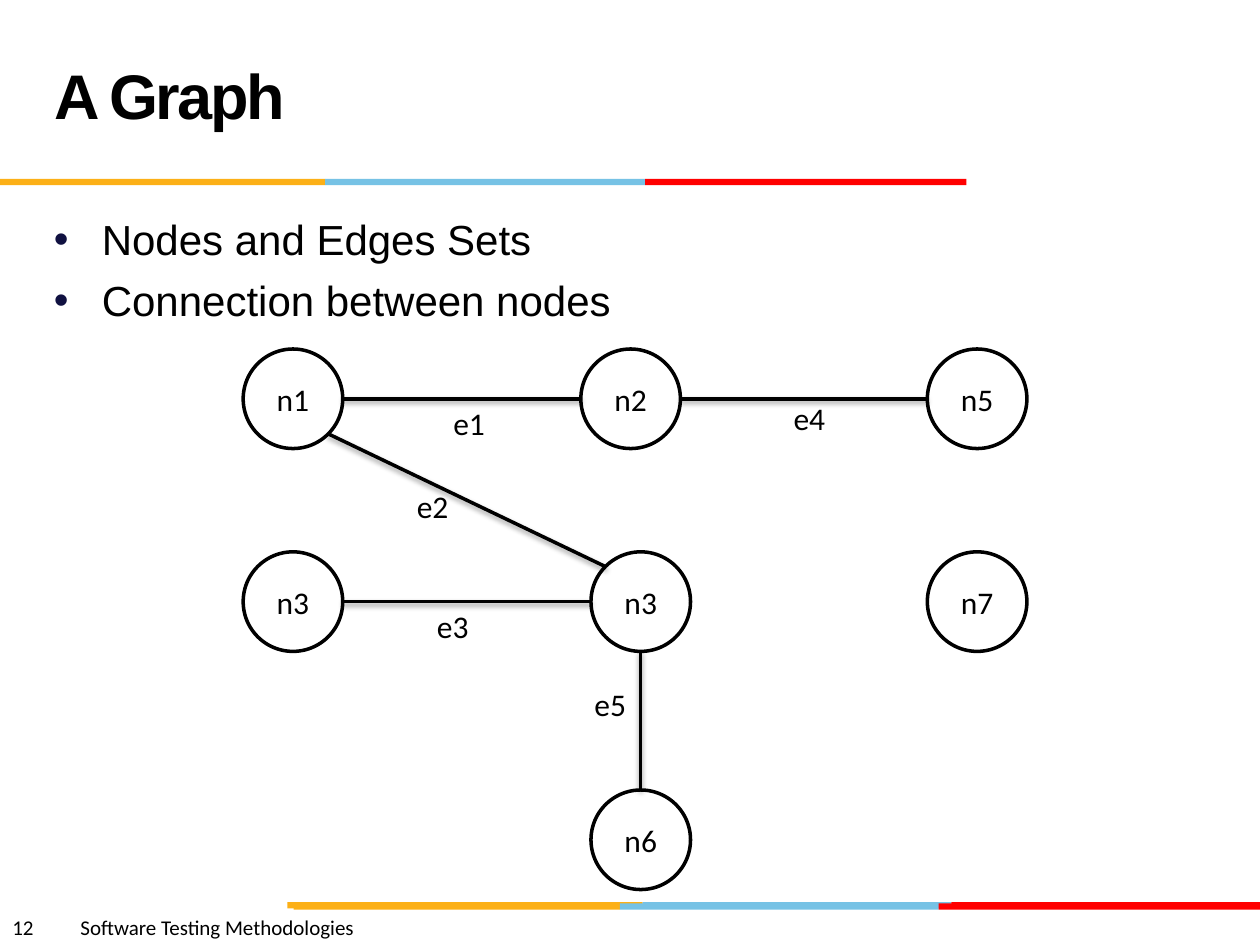
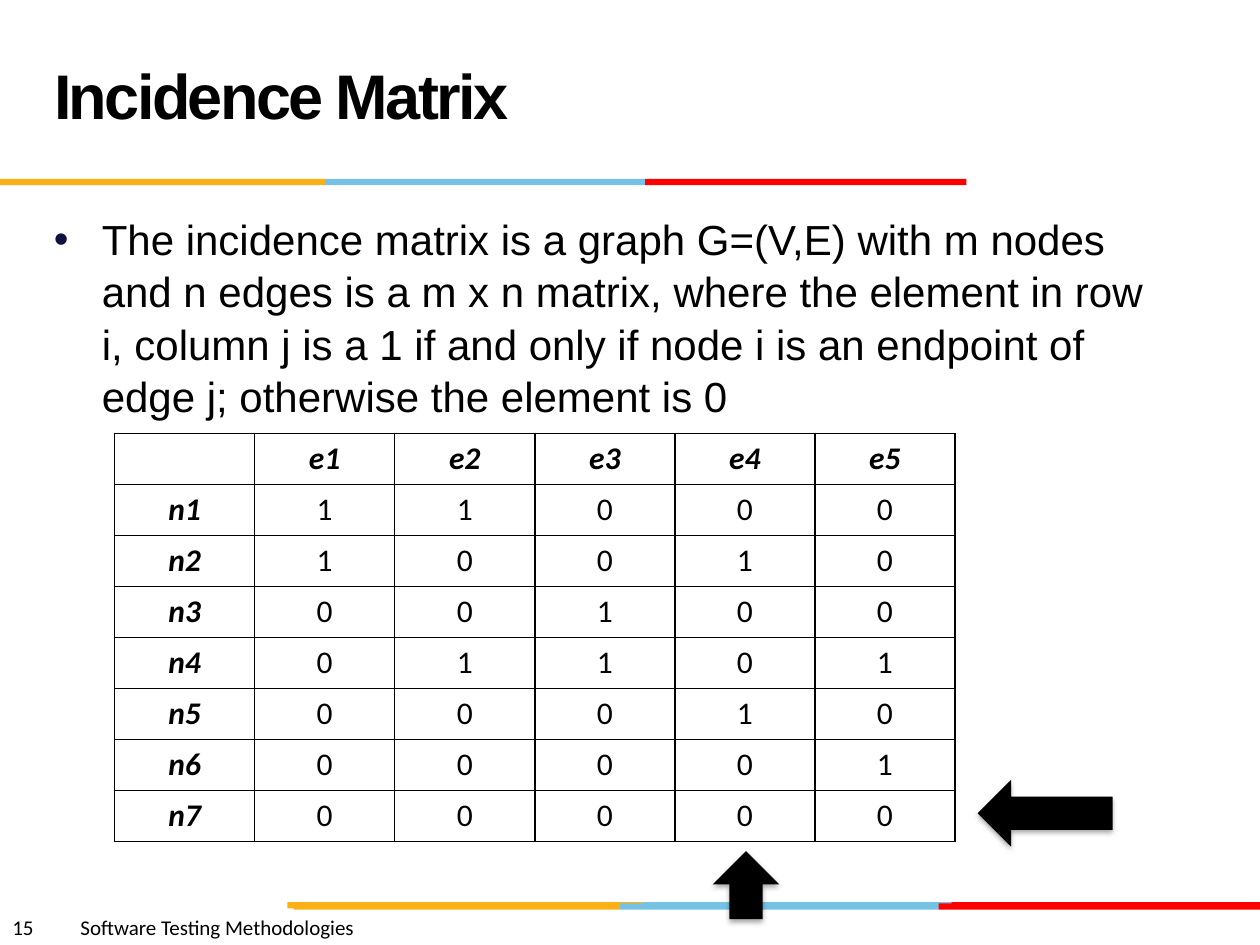
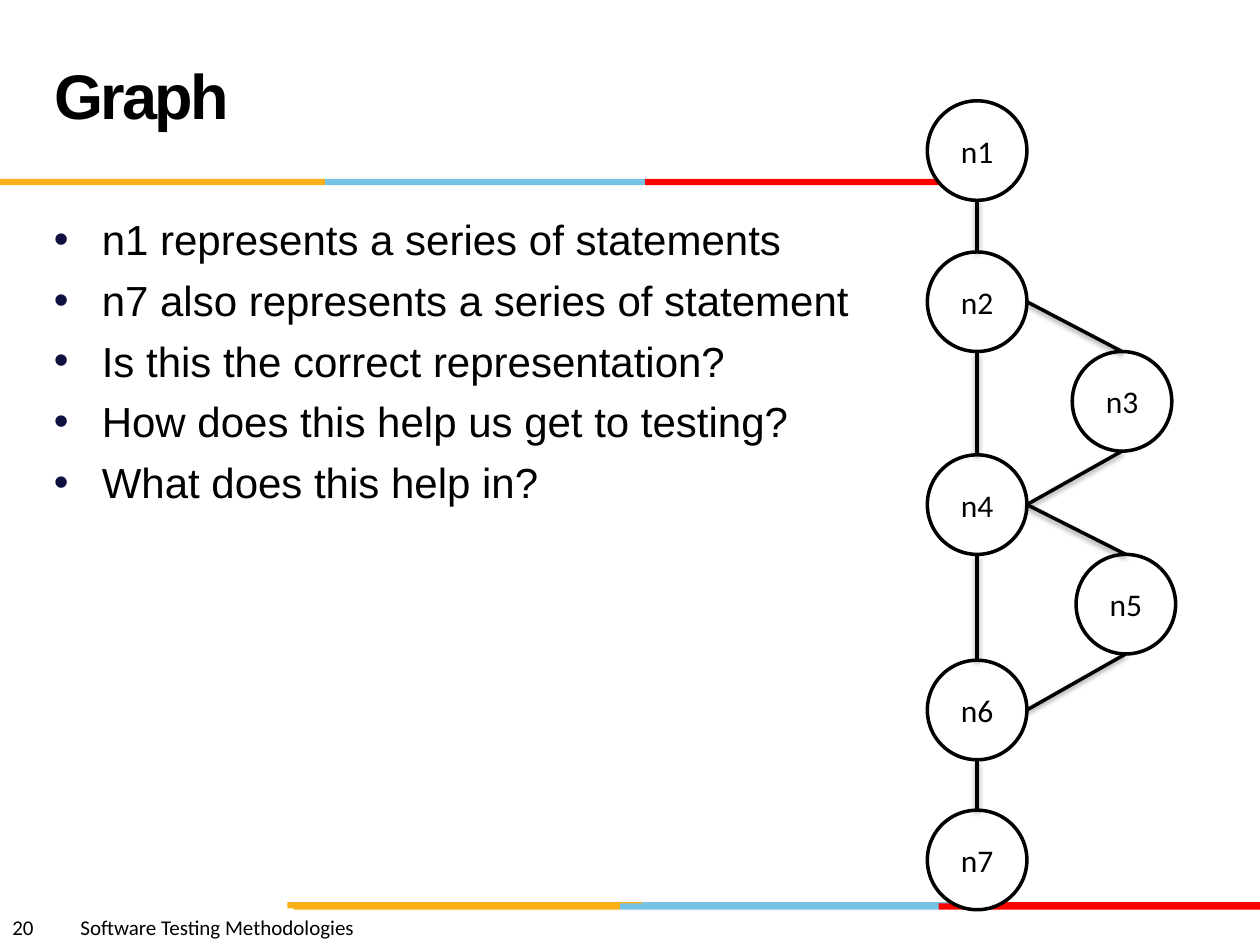
from dataclasses import dataclass
from itertools import pairwise

from lxml.etree import SubElement as Sub
from pptx import Presentation
from pptx.dml.color import RGBColor as RGB
from pptx.enum.shapes import MSO_CONNECTOR as LINK, MSO_SHAPE as KIND
from pptx.enum.text import MSO_ANCHOR as ANCHOR, MSO_AUTO_SIZE as FIT, PP_ALIGN as ALIGN
from pptx.oxml.ns import qn
from pptx.util import Inches, Pt


@dataclass(frozen=True)
class Theme:
    ink: str = "000000"
    paper: str = "FFFFFF"
    dot: str = "101141"
    bands: tuple = ("FCB017", "76C2E5", "FF0000")
    head: str = "Arial"
    body: str = "Calibri"
    big: int = 36
    mid: int = 24
    small: int = 18
    tiny: int = 12
    stroke: int = 2


# Band rows: top, then the edges of the three colours
BANDS = (
    (71.6, (22.8, 51, 75.5, 100)),
    (71.7, (23.3, 49.2, 74.5, 100)),
    (14.2, (0, 25.8, 51.2, 76.7)),
)
FOOT = "Software Testing Methodologies"

# Points on a node's outline, as shares of its size
SITES = {"t": (.5, 0), "l": (0, .5), "b": (.5, 1), "r": (1, .5),
         "tl": (.15, .15), "br": (.85, .85)}
NODE = 7.9


class Deck:
    """Slides on a grid of 100 columns by 75 rows."""

    def __init__(self, theme):
        self.theme = theme
        self.prs = Presentation()
        self.prs.slide_width, self.prs.slide_height = Inches(10), Inches(7.5)
        self.unit = self.prs.slide_width / 100
        self.slide = None

    def grid(self, *cells):
        return [round(c * self.unit) for c in cells]

    def style(self, para, size, face=None, bold=False, slant=False):
        for run in para.runs:
            font = run.font
            font.name, font.size = face or self.theme.body, Pt(size)
            font.bold, font.italic = bold, slant
            font.color.rgb = RGB.from_string(self.theme.ink)

    # Slide frame: bands, footer and title
    def page(self, num, title):
        self.slide = self.prs.slides.add_slide(self.prs.slide_layouts[5])
        for top, edges in BANDS:
            for hue, (left, right) in zip(self.theme.bands, pairwise(edges)):
                self.shape(KIND.RECTANGLE, (left, top, right - left, .5), hue)
        foot = self.text(f"{num}\t{FOOT}", (0, 72.1, 50, 3), self.theme.tiny)
        tabs = Sub(foot.element.get_or_add_pPr() if hasattr(foot, "element")
                   else foot._p.get_or_add_pPr(), qn("a:tabLst"))
        Sub(tabs, qn("a:tab"), pos=str(Inches(.54)), algn="l")
        self.title(title)

    def title(self, words):
        box = self.slide.shapes.title
        box.left, box.top, box.width, box.height = self.grid(3.3, 1.7, 69.2, 12.5)
        frame = box.text_frame
        frame.text = words
        frame.auto_size, frame.vertical_anchor = FIT.NONE, ANCHOR.MIDDLE
        para = frame.paragraphs[0]
        para.alignment, para.line_spacing = ALIGN.LEFT, Pt(self.theme.big)
        self.style(para, self.theme.big, self.theme.head, bold=True)
        for prop in box.element.iter(qn("a:rPr")):
            prop.set("spc", "-150")

    # Text
    def text(self, words, area, size, wrap=True):
        box = self.slide.shapes.add_textbox(*self.grid(*area))
        frame = box.text_frame
        frame.text, frame.word_wrap = words, wrap
        self.style(frame.paragraphs[0], size)
        return frame.paragraphs[0]

    def points(self, *lines):
        box = self.slide.shapes.add_textbox(*self.grid(3.3, 16.3, 90, 49.5))
        frame = box.text_frame
        frame.text, frame.word_wrap = "\n".join(lines), True
        for i, para in enumerate(frame.paragraphs):
            prop = para._p.get_or_add_pPr()
            prop.set("marL", str(Inches(.38)))
            prop.set("indent", str(-Inches(.38)))
            Sub(Sub(prop, qn("a:buClr")), qn("a:srgbClr"), val=self.theme.dot)
            Sub(prop, qn("a:buFont"), typeface=self.theme.head)
            Sub(prop, qn("a:buChar"), char="•")
            para.line_spacing = 1.04
            para.space_before = Pt(self.theme.mid * .2 if i else 0)
            self.style(para, self.theme.mid, self.theme.head)

    # Shapes
    def shape(self, kind, area, hue):
        item = self.slide.shapes.add_shape(kind, *self.grid(*area))
        item.shadow.inherit = False
        item.fill.solid()
        item.fill.fore_color.rgb = RGB.from_string(hue)
        item.line.fill.background()
        return item

    def shade(self, item, share):
        props = item.element.spPr
        for old in props.findall(qn("a:effectLst")):
            props.remove(old)
        cast = Sub(Sub(props, qn("a:effectLst")), qn("a:outerShdw"),
                   blurRad=str(Pt(3.1)), dist=str(Pt(1.6)),
                   dir="5400000", rotWithShape="0")
        tone = Sub(cast, qn("a:srgbClr"), val=self.theme.ink)
        Sub(tone, qn("a:alpha"), val=str(share * 1000))

    def stroke(self, item):
        item.line.color.rgb = RGB.from_string(self.theme.ink)
        item.line.width = Pt(self.theme.stroke)

    def arrow(self, area, turn=0):
        item = self.shape(KIND.LEFT_ARROW, area, self.theme.ink)
        item.rotation = turn
        self.shade(item, 35)

    # Graph parts
    def node(self, name, left, top):
        item = self.shape(KIND.OVAL, (left, top, NODE, NODE), self.theme.paper)
        self.stroke(item)
        frame = item.text_frame
        frame.text, frame.vertical_anchor = name, ANCHOR.MIDDLE
        frame.paragraphs[0].alignment = ALIGN.CENTER
        self.style(frame.paragraphs[0], self.theme.small)
        return item

    def edge(self, start, out, end, into):
        ends = []
        for item, site in ((start, out), (end, into)):
            across, down = SITES[site]
            ends += [round(item.left + across * item.width),
                     round(item.top + down * item.height)]
        line = self.slide.shapes.add_connector(LINK.STRAIGHT, *ends)
        self.stroke(line)
        self.shade(line, 38)

    # Table with a ruled grid
    def table(self, rows, area):
        table = self.slide.shapes.add_table(
            len(rows), len(rows[0]), *self.grid(*area)).table
        table.first_row = table.horz_banding = False
        for r, row in enumerate(rows):
            for c, word in enumerate(row):
                cell = table.cell(r, c)
                cell.text = word
                cell.fill.background()
                para = cell.text_frame.paragraphs[0]
                para.alignment = ALIGN.CENTER
                lead = r == 0 or c == 0
                self.style(para, self.theme.small, bold=lead, slant=lead)
                self.rule(cell)

    def rule(self, cell):
        props = cell._tc.get_or_add_tcPr()
        for i, side in enumerate("LRTB"):
            line = Sub(props, qn(f"a:ln{side}"), w=str(Pt(1)))
            Sub(Sub(line, qn("a:solidFill")), qn("a:srgbClr"), val=self.theme.ink)
            props.insert(i, line)


def graph(deck):
    deck.page(12, "A Graph")
    deck.points("Nodes and Edges Sets", "Connection between nodes")
    left, mid, right = 19.3, 46.9, 73.6
    high, low = 27.7, 43.8
    n1 = deck.node("n1", left, high)
    n2 = deck.node("n2", 46.1, high)
    n5 = deck.node("n5", right, high)
    n3 = deck.node("n3", left, low)
    hub = deck.node("n3", mid, low)
    deck.node("n7", right, low)
    n6 = deck.node("n6", mid, 62.7)
    for link in ((n1, "r", n2, "l"), (n2, "r", n5, "l"), (n3, "r", hub, "l"),
                 (n1, "br", hub, "tl"), (hub, "b", n6, "t")):
        deck.edge(*link)
    tags = ((35, 31.6), (32.1, 38.2), (33.7, 47.7), (62, 31.2), (46.2, 53.9))
    for i, spot in enumerate(tags, 1):
        deck.text(f"e{i}", (*spot, 4.6, 4), deck.theme.small, wrap=False)


def matrix(deck):
    deck.page(15, "Incidence Matrix")
    deck.points(
        "The incidence matrix is a graph G=(V,E) with m nodes and n edges is a "
        "m x n matrix, where the element in row i, column j is a 1 if and only "
        "if node i is an endpoint of edge j; otherwise the element is 0")
    bits = ("11000", "10010", "00100", "01101", "00010", "00001", "00000")
    rows = [["", *(f"e{j}" for j in range(1, 6))]]
    rows += [[f"n{i}", *line] for i, line in enumerate(bits, 1)]
    deck.table(rows, (9.1, 34.4, 66.7, 32.4))
    deck.arrow((77.6, 61.9, 10.7, 5.3))
    deck.arrow((56.5, 67.6, 5.4, 5.3), turn=90)


def flow(deck):
    deck.page(20, "Graph")
    deck.points("n1 represents a series of statements",
                "n7 also represents a series of statement",
                "Is this the correct representation?",
                "How does this help us get to testing?",
                "What does this help in?")
    spine = 73.6
    spots = ((spine, 8), (spine, 20), (85.1, 27.9), (spine, 36.1),
             (85.4, 44), (spine, 52.4), (spine, 64.3))
    n1, n2, n3, n4, n5, n6, n7 = [
        deck.node(f"n{i}", *spot) for i, spot in enumerate(spots, 1)]
    for pair in pairwise((n1, n2, n4, n6, n7)):
        deck.edge(pair[0], "b", pair[1], "t")
    for top, side, base in ((n2, n3, n4), (n4, n5, n6)):
        deck.edge(top, "r", side, "t")
        deck.edge(base, "r", side, "b")


def main():
    deck = Deck(Theme())
    for draw in (graph, matrix, flow):
        draw(deck)
    deck.prs.save("out.pptx")


if __name__ == "__main__":
    main()
